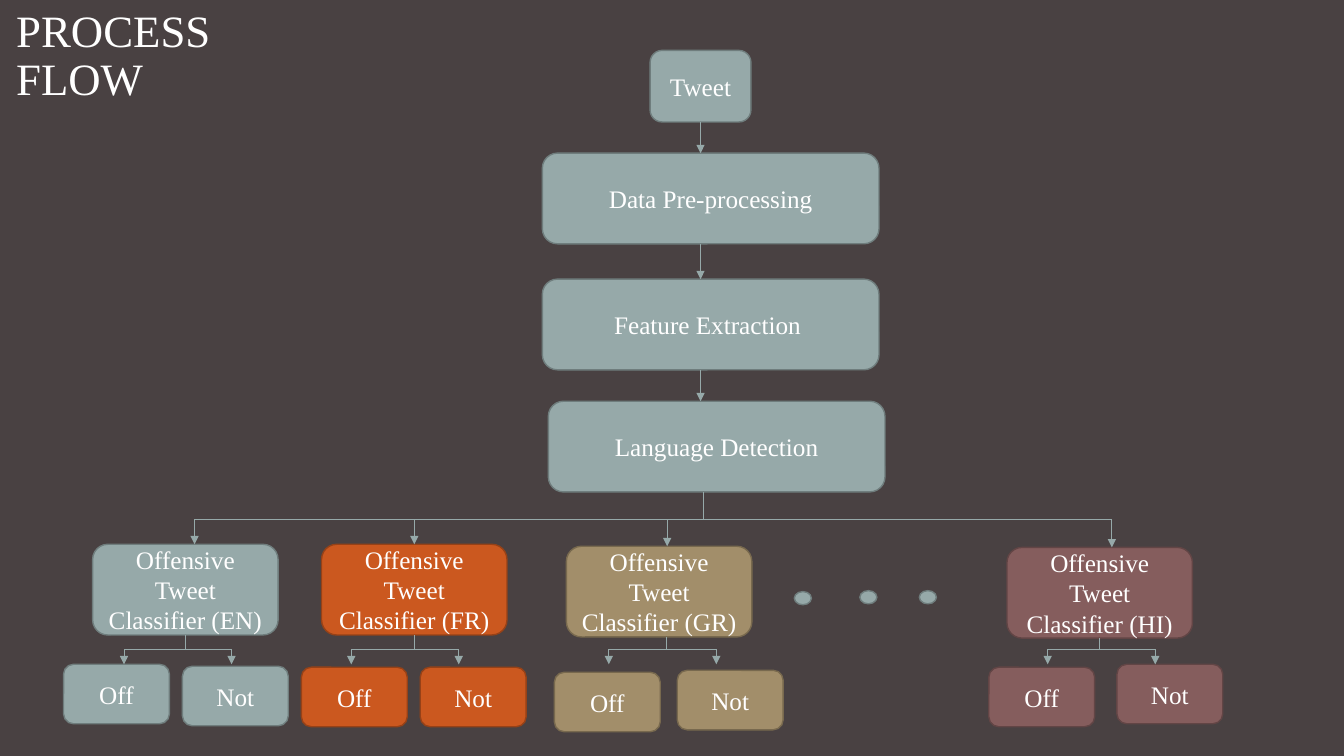
from dataclasses import dataclass

from lxml.etree import SubElement
from pptx import Presentation
from pptx.dml.color import RGBColor
from pptx.enum.shapes import MSO_CONNECTOR, MSO_SHAPE
from pptx.enum.text import MSO_ANCHOR, PP_ALIGN
from pptx.oxml.ns import qn
from pptx.util import Pt


@dataclass(frozen=True)
class Theme:
    background: str = "494142"
    text: str = "FFFFFF"
    font: str = "Times New Roman"
    title_size: int = 32
    body_size: int = 18
    connector: str = "96A9A9"
    # Each pair is fill and outline
    sage: tuple = ("96A9A9", "6F7D7D")
    orange: tuple = ("CB581F", "964117")
    tan: tuple = ("A28E6A", "78694E")
    rose: tuple = ("855D5D", "624545")


THEME = Theme()
STAGE_W, STAGE_H = 240.5, 64.8
CLASSIFIER_W, CLASSIFIER_H = 132.5, 64.8
LEAF_W, LEAF_H = 75.6, 42.5
FORK_W = 76.8


@dataclass
class Branch:
    language: str
    colors: tuple
    left: float
    top: float
    # Offsets from the classifier's left top corner
    entry: float
    stem: float
    fork: float
    off: tuple
    not_off: tuple
    stem_joined: bool = True
    entry_joined: bool = False


BRANCHES = [
    Branch("EN", THEME.sage, 66.2, 388.8, 72.8, 66.25, 22.4, (-20.8, 85.7), (64.1, 87.1)),
    Branch("FR", THEME.orange, 229.7, 388.8, 66.25, 66.25, 21.2, (-14.4, 87.8), (70.5, 87.8),
           entry_joined=True),
    Branch("GR", THEME.tan, 404.6, 390.2, 72, 71.3, 30.3, (-8.6, 90), (79.2, 88.6),
           stem_joined=False),
    Branch("HI", THEME.rose, 719.3, 391, 74.9, 66.25, 29.1, (-13, 85.6), (78.5, 83.5)),
]


def format_text(p, size):
    p.font.name = THEME.font
    p.font.size = Pt(size)
    p.font.color.rgb = RGBColor.from_string(THEME.text)


def add_node(slide, kind, left, top, width, height, colors, text=""):
    sp = slide.shapes.add_shape(kind, Pt(left), Pt(top), Pt(width), Pt(height))
    fill, outline = colors
    sp.shadow.inherit = False
    sp.fill.solid()
    sp.fill.fore_color.rgb = RGBColor.from_string(fill)
    sp.line.color.rgb = RGBColor.from_string(outline)
    sp.line.width = Pt(1)
    if text:
        tf = sp.text_frame
        tf.word_wrap = True
        tf.vertical_anchor = MSO_ANCHOR.MIDDLE
        p = tf.paragraphs[0]
        p.text = text
        p.alignment = PP_ALIGN.CENTER
        format_text(p, THEME.body_size)
    return sp


def add_line(slide, x1, y1, x2, y2, arrow=False):
    line = slide.shapes.add_connector(
        MSO_CONNECTOR.STRAIGHT, Pt(x1), Pt(y1), Pt(x2), Pt(y2))
    line.line.color.rgb = RGBColor.from_string(THEME.connector)
    line.line.width = Pt(0.5)
    if arrow:
        SubElement(line.line._get_or_add_ln(), qn("a:tailEnd"), type="triangle")
    SubElement(line._element.spPr, qn("a:effectLst"))
    return line


def add_title(slide, left, top, width, height):
    title = slide.shapes.title
    title.left, title.top = Pt(left), Pt(top)
    title.width, title.height = Pt(width), Pt(height)
    tf = title.text_frame
    tf.word_wrap = True
    tf.vertical_anchor = MSO_ANCHOR.MIDDLE
    p = tf.paragraphs[0]
    p.text = "PROCESS FLOW"
    p.alignment = PP_ALIGN.LEFT
    p.line_spacing = 0.9
    format_text(p, THEME.title_size)


def add_pipeline(slide, left, top):
    stages = [
        ("Tweet", 77, 0, 72, 51.1),
        ("Data Pre-processing", 0, 73.4, STAGE_W, STAGE_H),
        ("Feature Extraction ", 0, 163.4, STAGE_W, STAGE_H),
        ("Language Detection", 4.3, 250.6, STAGE_W, STAGE_H),
    ]
    nodes = [add_node(slide, MSO_SHAPE.ROUNDED_RECTANGLE, left + dx, top + dy, w, h,
                      THEME.sage, text) for text, dx, dy, w, h in stages]
    # Arrows from stage to stage
    x = left + 113
    for (_, _, y, _, h), (_, _, next_y, _, _) in zip(stages, stages[1:]):
        arrow = add_line(slide, x, top + y + h, x, top + next_y, arrow=True)
        if y == 0:
            arrow.begin_connect(nodes[0], 2)


def add_bus(slide, left, top, width, height):
    # Stem down from language detection, then a rail to either side
    bottom = top + height
    add_line(slide, 502.6, top, 502.6, bottom)
    for end in (left, left + width):
        add_line(slide, 507.6, bottom, end, bottom)


def add_branch(slide, branch, bus_y):
    left, top = branch.left, branch.top
    classifier = add_node(
        slide, MSO_SHAPE.ROUNDED_RECTANGLE, left, top, CLASSIFIER_W, CLASSIFIER_H,
        branch.colors, f"Offensive Tweet Classifier ({branch.language})")
    for text, (dx, dy) in (("Off", branch.off), ("Not", branch.not_off)):
        add_node(slide, MSO_SHAPE.ROUNDED_RECTANGLE, left + dx, top + dy,
                 LEAF_W, LEAF_H, branch.colors, text)

    # Arrow in from the bus
    entry = add_line(slide, left + branch.entry, bus_y, left + branch.entry, top, arrow=True)
    if branch.entry_joined:
        entry.end_connect(classifier, 0)

    # Fork out to the two labels
    fork_x, fork_y = left + branch.fork, 463.7
    stem_x = left + branch.stem
    stem = add_line(slide, stem_x, top + CLASSIFIER_H, stem_x, fork_y)
    if branch.stem_joined:
        stem.begin_connect(classifier, 2)
    add_line(slide, fork_x, fork_y, fork_x + FORK_W, fork_y)
    for x in (fork_x, fork_x + FORK_W):
        add_line(slide, x, fork_y, x, fork_y + 10.8, arrow=True)


def add_ellipsis(slide, left, top):
    for dx, dy in ((0, 0.7), (46.8, 0), (89.3, 0)):
        add_node(slide, MSO_SHAPE.OVAL, left + dx, top + dy, 12.2, 9.4, THEME.sage)


def build_process_flow(prs):
    slide = prs.slides.add_slide(prs.slide_layouts[5])
    slide.background.fill.solid()
    slide.background.fill.fore_color.rgb = RGBColor.from_string(THEME.background)

    add_title(slide, 4.3, 5, 246.2, 71.3)
    add_pipeline(slide, 387.4, 36)
    bus_y = 370.8
    first, last = (b.left + b.entry for b in (BRANCHES[0], BRANCHES[-1]))
    add_bus(slide, first, 351.4, last - first, bus_y - 351.4)
    for branch in BRANCHES:
        add_branch(slide, branch, bus_y)
    add_ellipsis(slide, 567.4, 421.9)


def main():
    prs = Presentation()
    prs.slide_width, prs.slide_height = Pt(960), Pt(540)
    build_process_flow(prs)
    prs.save("out.pptx")


if __name__ == "__main__":
    main()
